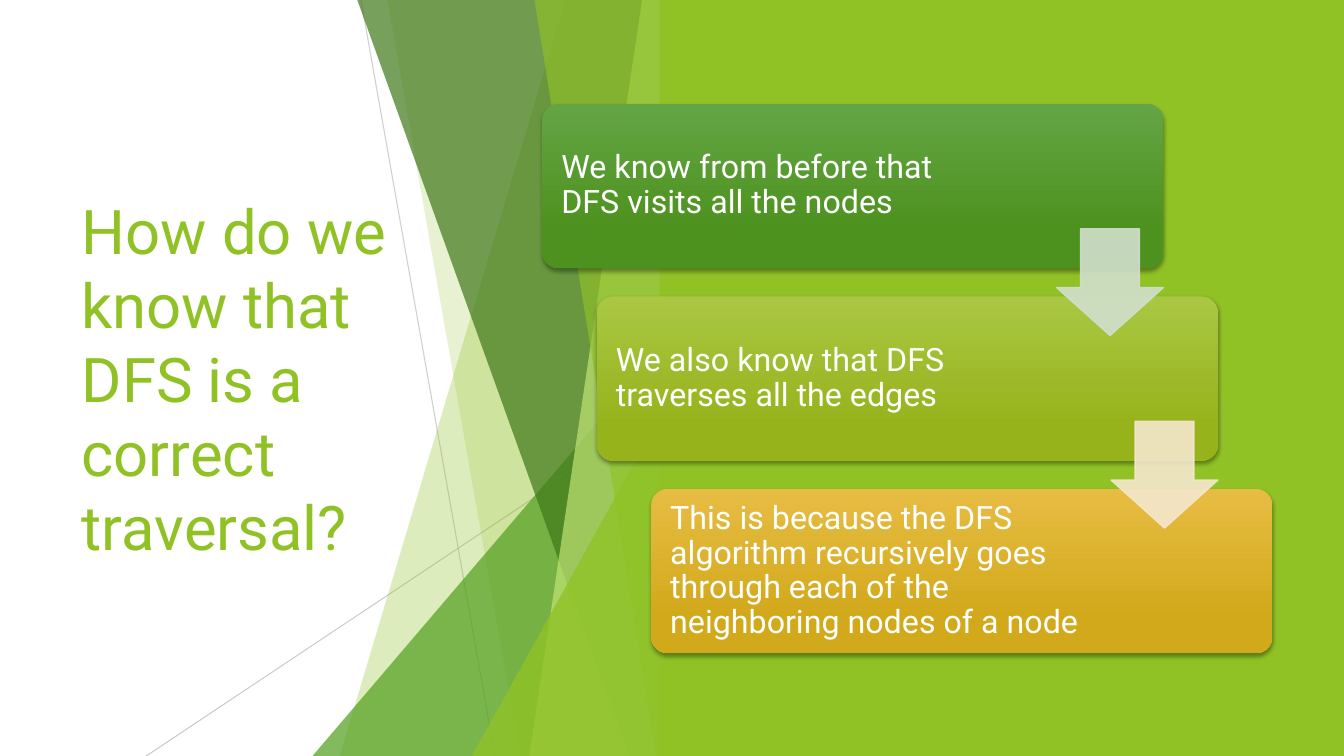
from lxml.etree import SubElement
from pptx import Presentation
from pptx.dml.color import RGBColor
from pptx.enum.shapes import MSO_CONNECTOR, MSO_SHAPE
from pptx.enum.text import MSO_ANCHOR, MSO_AUTO_SIZE, PP_ALIGN
from pptx.oxml.ns import qn
from pptx.util import Pt

PX = 9144  # EMU per px, 100 px to the inch
WIDTH, HEIGHT = 1333, 750

THEME = {
    "font": "Roboto",
    "title_size": Pt(44),
    "card_size": Pt(23),
    "accent": RGBColor.from_string("90C226"),
    "leaf": RGBColor.from_string("54A021"),
    "forest": RGBColor.from_string("3F7819"),
    "lime": RGBColor.from_string("C0E474"),
    "thin_line": RGBColor.from_string("BFBFBF"),
    "text": RGBColor.from_string("FFFFFF"),
    "cards": [("63A545", "4D921E"), ("AAC744", "97B31C"), ("E7BC43", "D2A91B")],
    "arrows": ["D1DFCD", "F5E7CD"],
}


def set_opacity(shape, percent):
    for colour in shape._element.spPr.iter(qn("a:srgbClr")):
        SubElement(colour, qn("a:alpha"), val=str(percent * 1000))


def style_text(frame, size, colour):
    frame.word_wrap = True
    frame.auto_size = MSO_AUTO_SIZE.NONE
    frame.vertical_anchor = MSO_ANCHOR.MIDDLE
    para = frame.paragraphs[0]
    para.alignment = PP_ALIGN.LEFT
    for span in para.runs:
        span.font.name = THEME["font"]
        span.font.size = size
        span.font.color.rgb = colour


deck = Presentation()
deck.slide_width, deck.slide_height = WIDTH * PX, HEIGHT * PX
page = deck.slides.add_slide(deck.slide_layouts[5])
shapes = page.shapes

# Title
title = shapes.title
title.left, title.top, title.width, title.height = 71 * PX, 151 * PX, 388 * PX, 448 * PX
title.text_frame.text = "How do we know that DFS is a correct traversal?"
style_text(title.text_frame, THEME["title_size"], THEME["accent"])

# Thin lines behind the facets
for x1, y1, x2, y2, opacity in [(358, 0, 491, 750, 75), (666, 403, 145, 750, 80)]:
    line = shapes.add_connector(MSO_CONNECTOR.STRAIGHT, x1 * PX, y1 * PX, x2 * PX, y2 * PX)
    line.line.color.rgb = THEME["thin_line"]
    line.line.width = Pt(0.75)
    set_opacity(line, opacity)
    SubElement(line._element.spPr, qn("a:effectLst"))

# Facets share a right edge and the slide bottom; one that starts on that edge is a triangle
FACET_RIGHT = 666
facets = [  # colour, opacity, top x, top y, bottom x
    ("accent", 30, 561, -1, 337),
    ("accent", 20, 384, -1, 516),
    ("leaf", 72, FACET_RIGHT, 333, 310),
    ("forest", 70, 354, -1, 624),
    ("lime", 70, 637, -1, 525),
    ("accent", 65, 530, -1, 651),
    ("accent", 80, FACET_RIGHT, 393, 468),
]
for colour, opacity, top_x, top_y, bottom_x in facets:
    if top_x == FACET_RIGHT:
        facet = shapes.add_shape(MSO_SHAPE.ISOSCELES_TRIANGLE, bottom_x * PX, top_y * PX,
                                 (FACET_RIGHT - bottom_x) * PX, (HEIGHT - top_y) * PX)
        facet.adjustments[0] = 1
    else:
        outline = shapes.build_freeform(top_x, top_y, scale=PX)
        outline.add_line_segments(
            [(FACET_RIGHT, top_y), (FACET_RIGHT, HEIGHT), (bottom_x, HEIGHT)], close=True)
        facet = outline.convert_to_shape()
    facet.fill.solid()
    facet.fill.fore_color.rgb = THEME[colour]
    facet.line.fill.background()
    facet.shadow.inherit = False
    set_opacity(facet, opacity)

# Green panel
panel = shapes.add_shape(MSO_SHAPE.RECTANGLE, 654 * PX, 0, (WIDTH - 654) * PX, HEIGHT * PX)
panel.fill.solid()
panel.fill.fore_color.rgb = THEME["accent"]
panel.line.fill.background()
panel.shadow.inherit = False

# Staggered cards
CARD_X, CARD_Y, STEP_X, STEP_Y = 538, 103, 54, 191
steps = [
    "We know from before that DFS visits all the nodes",
    "We also know that DFS traverses all the edges",
    "This is because the DFS algorithm recursively goes through each of the "
    "neighboring nodes of a node",
]
for index, (words, shades) in enumerate(zip(steps, THEME["cards"])):
    card = shapes.add_shape(MSO_SHAPE.ROUNDED_RECTANGLE, (CARD_X + index * STEP_X) * PX,
                            (CARD_Y + index * STEP_Y) * PX, 616 * PX, 163 * PX)
    card.adjustments[0] = 0.1
    card.fill.gradient()
    card.fill.gradient_angle = 270
    for stop, shade, position in zip(card.fill.gradient_stops, shades, (0, 0.78)):
        stop.color.rgb = RGBColor.from_string(shade)
        stop.position = position
    card.line.fill.background()

    card.shadow.inherit = False
    effects = card._element.spPr.find(qn("a:effectLst"))
    shadow = SubElement(effects, qn("a:outerShdw"), blurRad=str(Pt(3)), dist=str(Pt(2)),
                        dir="5400000", rotWithShape="0")
    shadow_colour = SubElement(shadow, qn("a:srgbClr"), val="000000")
    SubElement(shadow_colour, qn("a:alpha"), val="35000")

    frame = card.text_frame
    frame.text = words
    frame.margin_left, frame.margin_right = 14 * PX, 182 * PX
    frame.margin_top = frame.margin_bottom = 10 * PX
    frame.paragraphs[0].line_spacing = 0.9
    style_text(frame, THEME["card_size"], THEME["text"])

# Arrows from each card to the next
for index, shade in enumerate(THEME["arrows"]):
    arrow = shapes.add_shape(MSO_SHAPE.DOWN_ARROW, (CARD_X + 510 + index * STEP_X) * PX,
                             (CARD_Y + 124 + index * STEP_Y) * PX, 106 * PX, 106 * PX)
    arrow.adjustments[0], arrow.adjustments[1] = 0.55, 0.45
    arrow.fill.solid()
    arrow.fill.fore_color.rgb = RGBColor.from_string(shade)
    arrow.line.color.rgb = RGBColor.from_string(shade)
    arrow.line.width = Pt(1)
    arrow.shadow.inherit = False
    set_opacity(arrow, 90)

deck.save("out.pptx")
